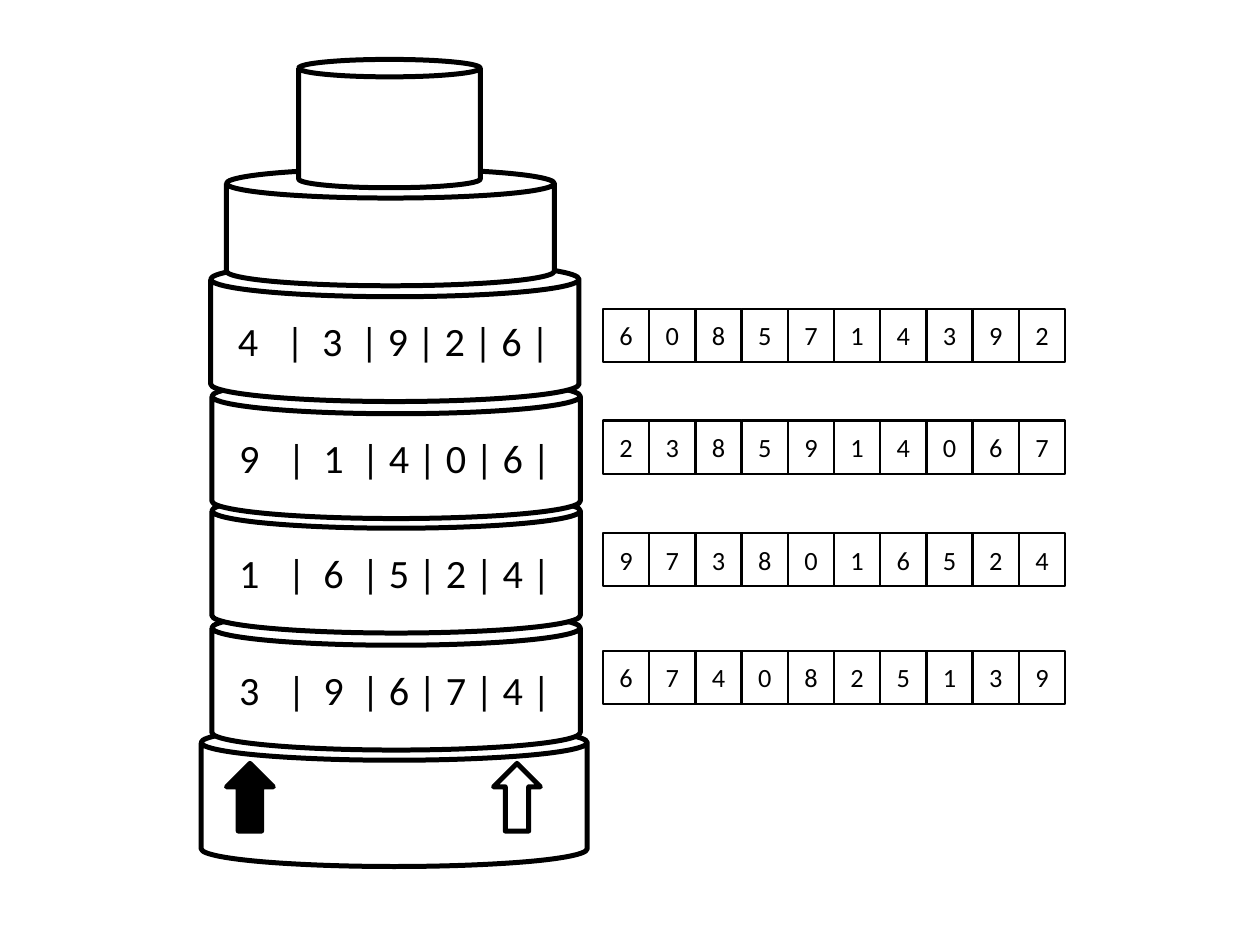
from pptx import Presentation
from pptx.dml.color import RGBColor
from pptx.enum.shapes import MSO_SHAPE
from pptx.enum.text import MSO_ANCHOR, PP_ALIGN
from pptx.util import Cm, Pt
from lxml import etree

INK = {"black": "000000", "white": "FFFFFF"}
FONT = "Calibri"

base = (3.18, 11.46, 9.83, 2.24)
rings = [
    (3.35, 9.65, "3\t|\t9\t| 6 | 7 | 4 |"),
    (3.35, 7.8, "1\t|\t6\t| 5 | 2 | 4 |"),
    (3.35, 5.99, "9\t|\t1\t| 4 | 0 | 6 |"),
    (3.33, 4.14, "4\t|\t3\t| 9 | 2 | 6 |"),
]
collar = (3.58, 2.67, 5.18, 1.85)
knob = (4.72, 0.94, 2.87, 2.03)
strips = [
    (4.88, "6085714392"),
    (6.65, "2385914067"),
    (8.43, "9738016524"),
    (10.29, "6740825139"),
]
arrows = [(3.58, "black"), (7.8, "white")]

RING_W, RING_H = 5.82, 2.21
STOPS = (0.76, 1.33, 1.93)
CELL_X, CELL_W, CELL_H = 9.53, 0.73, 0.84

deck = Presentation()
deck.slide_width, deck.slide_height = Cm(19.91), Cm(14.94)
slide = deck.slides.add_slide(deck.slide_layouts[6])


def color(name):
    return RGBColor.from_string(INK[name])


def draw(kind, box, fill="white", line=2.25):
    shape = slide.shapes.add_shape(kind, *[Cm(n) for n in box])
    shape.shadow.inherit = False
    shape.fill.solid()
    shape.fill.fore_color.rgb = color(fill)
    shape.line.color.rgb = color("black")
    shape.line.width = Pt(line)
    return shape


def write(shape, text, size=18, align=PP_ALIGN.CENTER, left=0, stops=()):
    frame = shape.text_frame
    frame.word_wrap = True
    frame.vertical_anchor = MSO_ANCHOR.MIDDLE
    frame.margin_left = Cm(left)
    frame.margin_right = frame.margin_top = frame.margin_bottom = 0
    para = frame.paragraphs[0]
    para.alignment = align
    run = para.add_run()
    run.text = text
    run.font.size = Pt(size)
    run.font.name = FONT
    run.font.color.rgb = color("black")
    if stops:
        props = para._p.get_or_add_pPr()
        space = "{" + props.nsmap["a"] + "}"
        tabs = etree.SubElement(props, space + "tabLst")
        for stop in stops:
            etree.SubElement(tabs, space + "tab", pos=str(Cm(stop)), algn="l")


draw(MSO_SHAPE.CAN, (3.18, 11.46, 6.1, 2.24) if base[2] > 6.1 else base)
for x, y, code in rings:
    ring = draw(MSO_SHAPE.CAN, (x, y, RING_W, RING_H))
    write(ring, code, align=PP_ALIGN.LEFT, left=0.43, stops=STOPS)
draw(MSO_SHAPE.CAN, collar)
draw(MSO_SHAPE.CAN, knob).adjustments[0] = 0.136

for y, digits in strips:
    for i, digit in enumerate(digits):
        cell = draw(MSO_SHAPE.RECTANGLE, (CELL_X + i * CELL_W, y, CELL_W, CELL_H), line=1)
        write(cell, digit, size=11.8)

for x, fill in arrows:
    draw(MSO_SHAPE.UP_ARROW, (x, 12.07, 0.74, 1.07), fill=fill)

deck.save("out.pptx")
